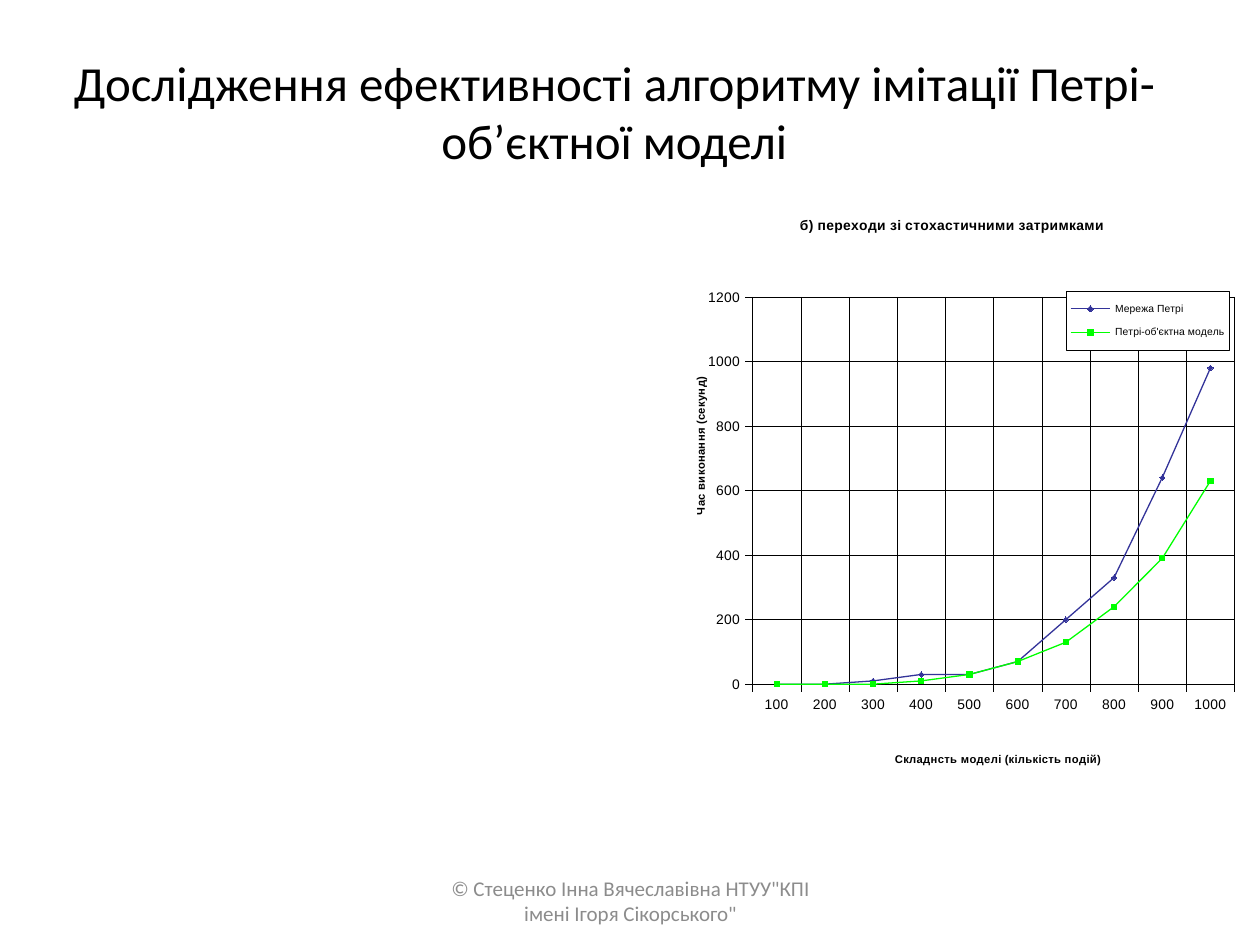
from lxml import etree
from pptx import Presentation
from pptx.chart.data import CategoryChartData
from pptx.dml.color import RGBColor
from pptx.enum.chart import XL_CHART_TYPE, XL_LEGEND_POSITION, XL_MARKER_STYLE, XL_TICK_MARK
from pptx.enum.text import MSO_ANCHOR, PP_ALIGN
from pptx.oxml import parse_xml
from pptx.oxml.ns import nsdecls, qn
from pptx.util import Inches, Pt

LINE_MARKERS = XL_CHART_TYPE.LINE_MARKERS
LEGEND_RIGHT = XL_LEGEND_POSITION.RIGHT
DIAMOND, SQUARE = XL_MARKER_STYLE.DIAMOND, XL_MARKER_STYLE.SQUARE
TICK_OUT, TICK_NONE = XL_TICK_MARK.OUTSIDE, XL_TICK_MARK.NONE
MIDDLE, CENTER = MSO_ANCHOR.MIDDLE, PP_ALIGN.CENTER

BLACK = RGBColor(0x00, 0x00, 0x00)
WHITE = RGBColor(0xFF, 0xFF, 0xFF)
GRAY = RGBColor(0x8C, 0x8C, 0x8C)
INDIGO = RGBColor(0x33, 0x33, 0x99)
GREEN = RGBColor(0x00, 0xFF, 0x00)

EVENT_COUNTS = [str(count) for count in range(100, 1001, 100)]
RUN_TIMES = [
    ("Мережа Петрі", [0, 0, 10, 30, 30, 70, 200, 330, 640, 980], INDIGO, DIAMOND),
    ("Петрі-об'єктна модель", [0, 0, 0, 10, 30, 70, 130, 240, 390, 630], GREEN, SQUARE),
]


def place(element, index, x, y, size=None):
    for old in element.findall(qn("c:layout")):
        element.remove(old)
    layout = parse_xml(f"<c:layout {nsdecls('c')}><c:manualLayout/></c:layout>")
    settings = [("xMode", "edge"), ("yMode", "edge"), ("x", x), ("y", y)]
    if size:
        settings += [("w", size[0]), ("h", size[1])]
    if element.tag == qn("c:plotArea"):
        settings.insert(0, ("layoutTarget", "inner"))
    for name, value in settings:
        etree.SubElement(layout[0], qn(f"c:{name}")).set("val", str(value))
    element.insert(index, layout)


def paint(element, outline):
    fill = f'<a:solidFill><a:srgbClr val="{WHITE}"/></a:solidFill>'
    border = f'<a:solidFill><a:srgbClr val="{BLACK}"/></a:solidFill>' if outline else "<a:noFill/>"
    properties = parse_xml(
        f'<c:spPr {nsdecls("c", "a")}>{fill}<a:ln w="{Pt(0.19)}">{border}</a:ln></c:spPr>'
    )
    text = element.find(qn("c:txPr"))
    if text is None:
        element.append(properties)
    else:
        text.addprevious(properties)


class SlideBuilder:
    text_font = "Calibri"
    chart_font = "Arial"
    hairline = Pt(0.19)

    def __init__(self, slide):
        self.slide = slide

    def style(self, font, name, size, color, bold=False):
        font.name, font.size, font.bold = name, Pt(size), bold
        font.color.rgb = color

    def fill_text(self, shape, text, size, color):
        frame = shape.text_frame
        frame.word_wrap = True
        frame.vertical_anchor = MIDDLE
        paragraph = frame.paragraphs[0]
        paragraph.text = text
        paragraph.alignment = CENTER
        self.style(paragraph.font, self.text_font, size, color)

    def title(self, text, left, top, width, height):
        heading = self.slide.shapes.title
        heading.left, heading.top = Inches(left), Inches(top)
        heading.width, heading.height = Inches(width), Inches(height)
        self.fill_text(heading, text, 28, BLACK)

    def text(self, text, left, top, width, height):
        box = self.slide.shapes.add_textbox(
            Inches(left), Inches(top), Inches(width), Inches(height))
        self.fill_text(box, text, 12, GRAY)

    def chart_title(self, title, text, size, x, y):
        paragraph = title.text_frame.paragraphs[0]
        paragraph.text = text
        self.style(paragraph.font, self.chart_font, size, BLACK, True)
        place(title._element, 1, x, y)

    def axis(self, axis, text, x, y):
        axis.has_major_gridlines = True
        axis.major_tick_mark, axis.minor_tick_mark = TICK_OUT, TICK_NONE
        for line in (axis.format.line, axis.major_gridlines.format.line):
            line.color.rgb = BLACK
            line.width = self.hairline
        self.style(axis.tick_labels.font, self.chart_font, 7.9, BLACK)
        self.chart_title(axis.axis_title, text, 6.4, x, y)

    def line_chart(self, left, top, width, height):
        data = CategoryChartData()
        data.categories = EVENT_COUNTS
        for name, times, _, _ in RUN_TIMES:
            data.add_series(name, times)
        chart = self.slide.shapes.add_chart(
            LINE_MARKERS, Inches(left), Inches(top), Inches(width), Inches(height), data).chart
        self.style(chart.font, self.chart_font, 6.4, BLACK)
        chart.has_title = True
        self.chart_title(chart.chart_title, "б) переходи зі стохастичними затримками", 7.9, 0.22, 0.02)
        self.axis(chart.category_axis, "Складнсть моделі (кількість подій)", 0.39, 0.92)
        self.axis(chart.value_axis, " Час виконання (секунд)", 0.03, 0.29)
        chart.value_axis.minimum_scale, chart.value_axis.maximum_scale = 0, 1200
        chart.value_axis.major_unit = 200

        chart.plots[0].vary_by_categories = False
        for series, (_, _, color, marker) in zip(chart.plots[0].series, RUN_TIMES):
            series.smooth = False
            series.format.line.color.rgb = color
            series.format.line.width = Pt(0.75)
            series.marker.style, series.marker.size = marker, 3
            series.marker.format.fill.solid()
            series.marker.format.fill.fore_color.rgb = color
            series.marker.format.line.color.rgb = color

        chart.has_legend = True
        legend = chart.legend
        legend.position = LEGEND_RIGHT
        legend.include_in_layout = False
        self.style(legend.font, self.chart_font, 5.9, BLACK)
        place(legend._element, 1, 0.7, 0.15, (0.29, 0.1))
        paint(legend._element, True)

        space = chart._chartSpace
        plot_area = space.chart.plotArea
        place(plot_area, 0, 0.14, 0.16, (0.86, 0.65))
        paint(plot_area, False)
        paint(space, False)


def main():
    presentation = Presentation()
    presentation.slide_width, presentation.slide_height = Inches(10), Inches(7.5)
    builder = SlideBuilder(presentation.slides.add_slide(presentation.slide_layouts[5]))
    builder.line_chart(5.35, 1.6, 4.45, 4.73)
    builder.title("Дослідження ефективності алгоритму імітації Петрі-об’єктної моделі",
                  0.36, 0.39, 9.03, 0.98)
    builder.text('© Стеценко Інна Вячеславівна НТУУ"КПІ імені Ігоря Сікорського"',
                 3.42, 6.95, 3.17, 0.4)
    presentation.save("out.pptx")


if __name__ == "__main__":
    main()
